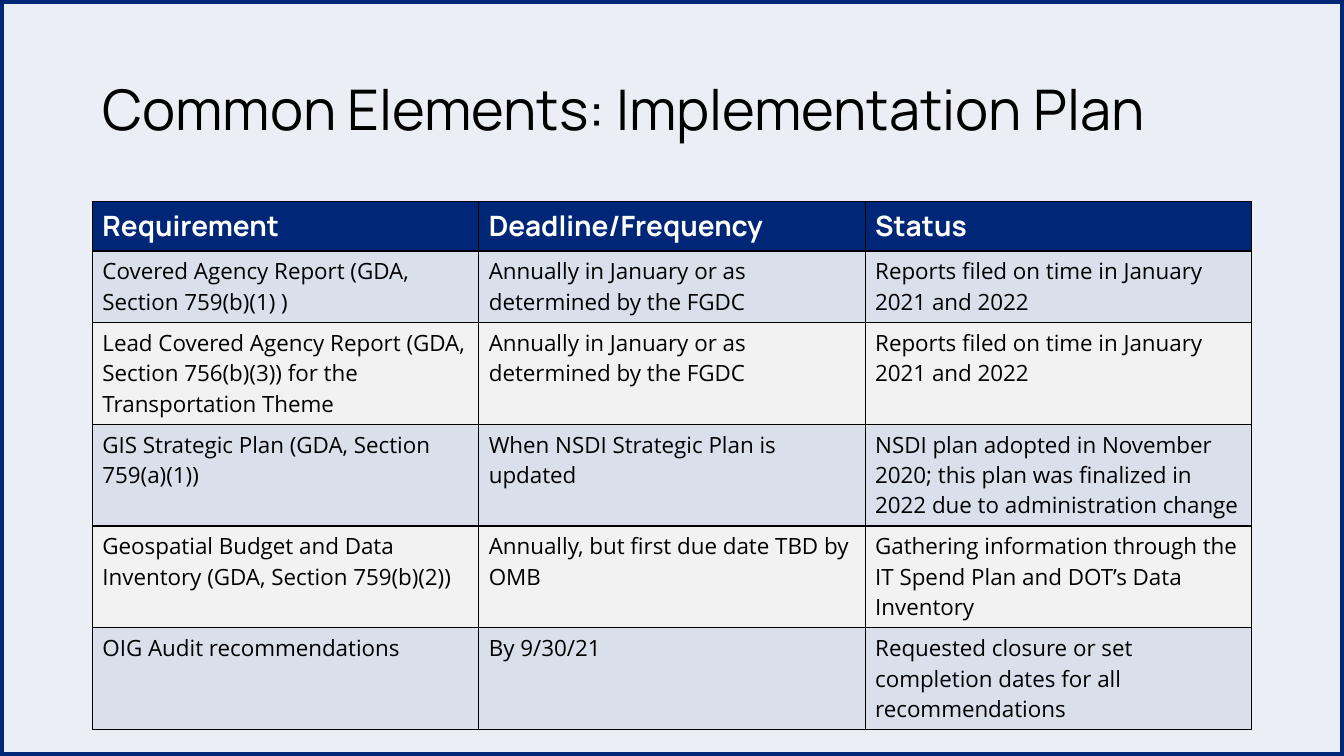
from dataclasses import dataclass

from lxml import etree
from pptx import Presentation
from pptx.dml.color import RGBColor
from pptx.enum.shapes import MSO_SHAPE
from pptx.enum.text import MSO_ANCHOR
from pptx.oxml.ns import qn
from pptx.util import Emu, Pt

RECTANGLE = MSO_SHAPE.RECTANGLE
MIDDLE = MSO_ANCHOR.MIDDLE

EMU_PER_PX = 9525
SLIDE_W, SLIDE_H = 1280, 720
LEFT, WIDTH = 88, 1104
TITLE_TOP, TITLE_H = 38, 139
TABLE_TOP, HEADER_H = 192, 47
LINE_H, CELL_PADDING = 29, 10

COLORS = {
    "background": "EBEEF5",
    "navy": "002678",
    "band_blue": "D9DFEB",
    "band_gray": "F2F2F2",
    "black": "000000",
    "white": "FFFFFF",
}


@dataclass(frozen=True)
class TextStyle:
    font: dict
    color: str


@dataclass(frozen=True)
class Requirement:
    name: str
    deadline: str
    status: str
    lines: int = 3

    def cells(self) -> tuple[str, str, str]:
        return self.name, self.deadline, self.status

    def height(self) -> int:
        return CELL_PADDING + LINE_H * self.lines


TITLE = TextStyle({"name": "Manrope", "size": Pt(40), "bold": False}, "black")
HEADER = TextStyle({"name": "Manrope", "size": Pt(20), "bold": True}, "white")
BODY = TextStyle({"name": "Open Sans", "size": Pt(16), "bold": False}, "black")

HEADINGS = Requirement("Requirement", "Deadline/Frequency", "Status", lines=1)
REQUIREMENTS = [
    Requirement(
        "Covered Agency Report (GDA, Section 759(b)(1) )",
        "Annually in January or as determined by the FGDC",
        "Reports filed on time in January 2021 and 2022",
        lines=2,
    ),
    Requirement(
        "Lead Covered Agency Report (GDA, Section 756(b)(3)) for the Transportation Theme",
        "Annually in January or as determined by the FGDC",
        "Reports filed on time in January 2021 and 2022",
    ),
    Requirement(
        "GIS Strategic Plan (GDA, Section 759(a)(1))",
        "When NSDI Strategic Plan is updated",
        "NSDI plan adopted in November 2020; this plan was finalized in 2022 "
        "due to administration change",
    ),
    Requirement(
        "Geospatial Budget and Data Inventory (GDA, Section 759(b)(2))",
        "Annually, but first due date TBD by OMB",
        "Gathering information through the IT Spend Plan and DOT’s Data Inventory",
    ),
    Requirement(
        "OIG Audit recommendations",
        "By 9/30/21",
        "Requested closure or set completion dates for all recommendations",
    ),
]


def px(length: int) -> Emu:
    return Emu(length * EMU_PER_PX)


def rgb(name: str) -> RGBColor:
    return RGBColor.from_string(COLORS[name])


def write(tf, text: str, style: TextStyle) -> None:
    p = tf.paragraphs[0]
    r = p.add_run()
    r.text = text
    for attr, value in style.font.items():
        setattr(r.font, attr, value)
    r.font.color.rgb = rgb(style.color)


def set_borders(cell, widths: dict[str, float]) -> None:
    """Place black cell lines ahead of the fill, as the schema requires."""
    tc_pr = cell._tc.get_or_add_tcPr()
    for i, (side, width) in enumerate(widths.items()):
        ln = etree.Element(qn(f"a:ln{side}"), w=str(Pt(width)))
        fill = etree.SubElement(ln, qn("a:solidFill"))
        etree.SubElement(fill, qn("a:srgbClr"), val=COLORS["black"])
        tc_pr.insert(i, ln)


def add_title(s, text: str) -> None:
    box = s.shapes.add_textbox(px(LEFT), px(TITLE_TOP), px(WIDTH), px(TITLE_H))
    tf = box.text_frame
    tf.word_wrap = True
    tf.vertical_anchor = MIDDLE
    write(tf, text, TITLE)
    tf.paragraphs[0].line_spacing = 0.9


def add_requirements(s, headings: Requirement, requirements: list[Requirement]) -> None:
    rows = [headings, *requirements]
    heights = [HEADER_H, *(requirement.height() for requirement in requirements)]
    table = s.shapes.add_table(
        len(rows), len(headings.cells()),
        px(LEFT), px(TABLE_TOP), px(WIDTH), px(sum(heights)),
    ).table
    for i, (row, height) in enumerate(zip(rows, heights)):
        table.rows[i].height = px(height)
        style = BODY if i else HEADER
        band = "band_blue" if i % 2 else "band_gray"
        widths = {
            "L": 1,
            "R": 1,
            "T": 2.25 if i == 1 else 1,
            "B": 2.25 if i == 0 else 1,
        }
        for j, text in enumerate(row.cells()):
            cell = table.cell(i, j)
            write(cell.text_frame, text, style)
            cell.fill.solid()
            cell.fill.fore_color.rgb = rgb(band if i else "navy")
            set_borders(cell, widths)


def add_frame(s) -> None:
    sp = s.shapes.add_shape(RECTANGLE, 0, 0, px(SLIDE_W), px(SLIDE_H))
    sp.shadow.inherit = False
    sp.fill.background()
    sp.line.color.rgb = rgb("navy")
    sp.line.width = Pt(6)


def main() -> None:
    prs = Presentation()
    prs.slide_width, prs.slide_height = px(SLIDE_W), px(SLIDE_H)
    s = prs.slides.add_slide(prs.slide_layouts[6])
    s.background.fill.solid()
    s.background.fill.fore_color.rgb = rgb("background")
    add_title(s, "Common Elements: Implementation Plan")
    add_requirements(s, HEADINGS, REQUIREMENTS)
    add_frame(s)
    prs.save("out.pptx")


if __name__ == "__main__":
    main()
